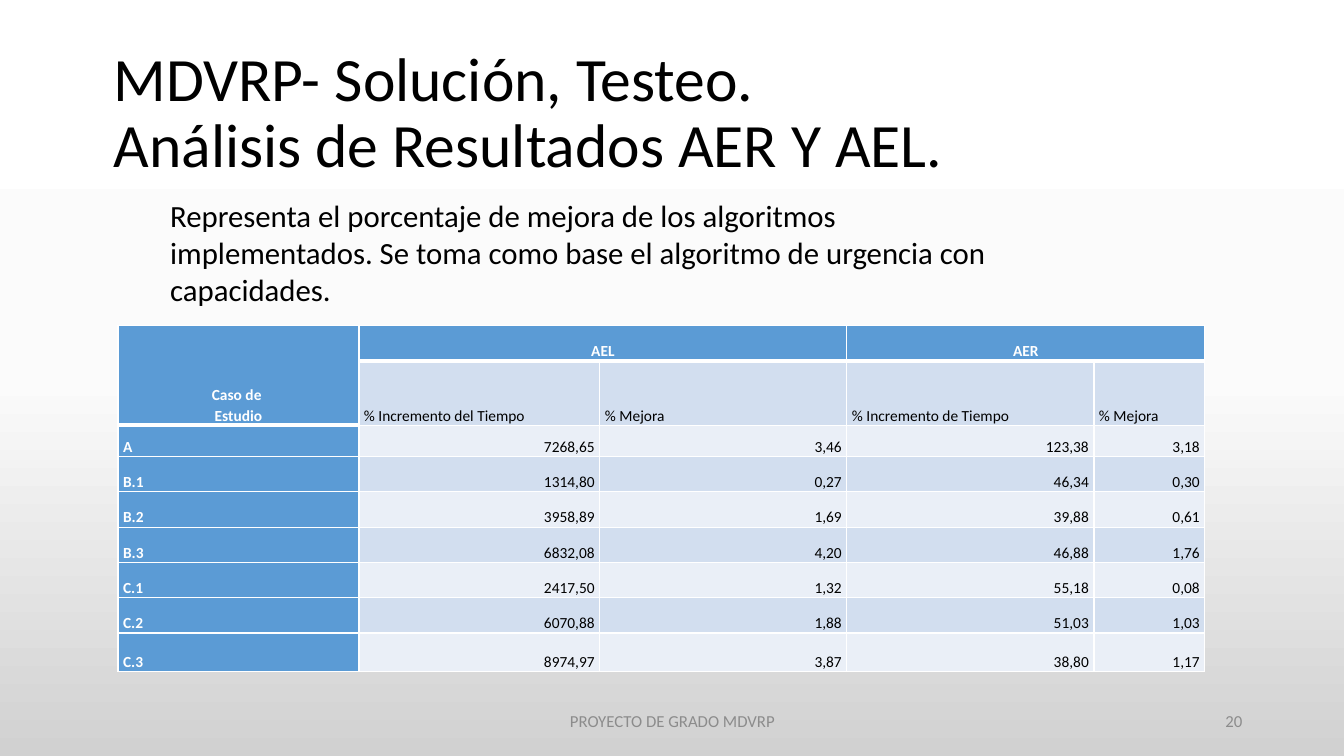
"""Build the MDVRP results slide comparing the AEL and AER algorithms."""
import copy

import pptx
import pptx.dml.color
import pptx.enum.text
import pptx.oxml
import pptx.oxml.ns
import pptx.util

Inches = pptx.util.Inches
Pt = pptx.util.Pt
ALIGN = pptx.enum.text.PP_ALIGN
ANCHOR = pptx.enum.text.MSO_ANCHOR
AUTO = pptx.enum.text.MSO_AUTO_SIZE

BACKGROUND = [(0, "FFFFFF"), (0.5, "FBFBFB"), (1, "D1D1D1")]
BLUE, BAND_DARK, BAND_LIGHT = "5B9BD5", "D2DEEF", "EAEFF7"
COL_WIDTHS = [2.39, 2.39, 2.45, 2.45, 1.1]
ROW_HEIGHTS = [0.35, 0.64, 0.31] + [0.35] * 5 + [0.38]
ROWS = [
    ["Caso de \nEstudio", "AEL", "", "AER", ""],
    ["", "% Incremento del Tiempo", "% Mejora", "% Incremento de Tiempo", "% Mejora"],
    ["A", "7268,65", "3,46", "123,38", "3,18"],
    ["B.1", "1314,80", "0,27", "46,34", "0,30"],
    ["B.2", "3958,89", "1,69", "39,88", "0,61"],
    ["B.3", "6832,08", "4,20", "46,88", "1,76"],
    ["C.1", "2417,50", "1,32", "55,18", "0,08"],
    ["C.2", "6070,88", "1,88", "51,03", "1,03"],
    ["C.3", "8974,97", "3,87", "38,80", "1,17"],
]
MERGES = [((0, 0), (1, 0)), ((0, 1), (0, 2)), ((0, 3), (0, 4))]


def rgb(value):
    return pptx.dml.color.RGBColor.from_string(value)


def apply(target, values):
    for name, value in values.items():
        setattr(target, name, value)


class SlideBuilder:
    def __init__(self, prs, font="Calibri"):
        self.font = font
        self.s = prs.slides.add_slide(prs.slide_layouts[6])

    def background(self, stops):
        fill = self.s.background.fill
        fill.gradient()
        fill.gradient_angle = 270
        gs_list = self.s.element.find(".//" + pptx.oxml.ns.qn("a:gsLst"))
        while len(gs_list) < len(stops):
            gs_list.append(copy.deepcopy(gs_list[-1]))
        for stop, (position, color) in zip(fill.gradient_stops, stops):
            stop.position = position
            stop.color.rgb = rgb(color)

    def paragraph(self, tf, text, size, color, bold=False, **layout):
        p = tf.paragraphs[0]
        apply(p, layout)
        for i, line in enumerate(text.split("\n")):
            if i:
                p.add_line_break()
            r = p.add_run()
            r.text = line
            apply(r.font, {"name": self.font, "size": Pt(size), "bold": bold})
            r.font.color.rgb = rgb(color)

    def text(self, box, text, size, color, frame, **layout):
        sp = self.s.shapes.add_textbox(*map(Inches, box))
        apply(sp.text_frame, {"word_wrap": True, **frame})
        self.paragraph(sp.text_frame, text, size, color, **layout)

    def borders(self, cell, bottom):
        tc_pr = cell._tc.get_or_add_tcPr()
        for side, width in (("L", 1), ("R", 1), ("T", 1), ("B", bottom)):
            tc_pr.append(pptx.oxml.parse_xml(
                f'<a:ln{side} {pptx.oxml.ns.nsdecls("a")} w="{Pt(width)}">'
                f'<a:solidFill><a:srgbClr val="FFFFFF"/></a:solidFill></a:ln{side}>'))

    def cell(self, cell, text, row, col):
        header = row == 0 or col == 0
        band = BAND_LIGHT if row % 2 == 0 else BAND_DARK
        self.borders(cell, 3 if row == 0 or (row, col) == (1, 0) else 1)
        cell.fill.solid()
        cell.fill.fore_color.rgb = rgb(BLUE if header else band)
        apply(cell, {"vertical_anchor": ANCHOR.BOTTOM,
                     "margin_left": Inches(0.05), "margin_right": Inches(0.05),
                     "margin_top": 0, "margin_bottom": 0})
        if not text:
            return
        if row == 0:
            align = ALIGN.CENTER
        else:
            align = ALIGN.LEFT if row == 1 or col == 0 else ALIGN.RIGHT
        self.paragraph(cell.text_frame, text, 11, "FFFFFF" if header else "000000",
                       bold=header, alignment=align, line_spacing=1.07,
                       space_after=Pt(8 if row > 1 else 0))

    def table(self, left, top, widths, heights, rows, merges):
        table = self.s.shapes.add_table(
            len(rows), len(widths), Inches(left), Inches(top),
            Inches(sum(widths)), Inches(sum(heights))).table
        for column, width in zip(table.columns, widths):
            column.width = Inches(width)
        for table_row, height in zip(table.rows, heights):
            table_row.height = Inches(height)
        for first, last in merges:
            table.cell(*first).merge(table.cell(*last))
        for i, row in enumerate(rows):
            for j, text in enumerate(row):
                self.cell(table.cell(i, j), text, i, j)


def main():
    prs = pptx.Presentation()
    apply(prs, {"slide_width": Inches(13.33), "slide_height": Inches(7.5)})
    slide = SlideBuilder(prs)
    middle = {"vertical_anchor": ANCHOR.MIDDLE}
    slide.background(BACKGROUND)
    slide.text((1.03, 0.41, 11.5, 1.45),
               "MDVRP- Solución, Testeo.\nAnálisis de Resultados AER Y AEL.",
               44, "000000", middle, line_spacing=0.9)
    slide.table(1.17, 3.23, COL_WIDTHS, ROW_HEIGHTS, ROWS, MERGES)
    slide.text((1.59, 1.9, 8.83, 1.21),
               "Representa el porcentaje de mejora de los algoritmos implementados. "
               "Se toma como base el algoritmo de urgencia con capacidades.",
               22, "000000", {"auto_size": AUTO.SHAPE_TO_FIT_TEXT})
    slide.text((4.42, 6.95, 4.5, 0.4), "PROYECTO DE GRADO MDVRP",
               12, "8C8C8C", middle, alignment=ALIGN.CENTER)
    slide.text((9.42, 6.95, 3, 0.4), "20", 12, "8C8C8C", middle, alignment=ALIGN.RIGHT)
    prs.save("out.pptx")


if __name__ == "__main__":
    main()
